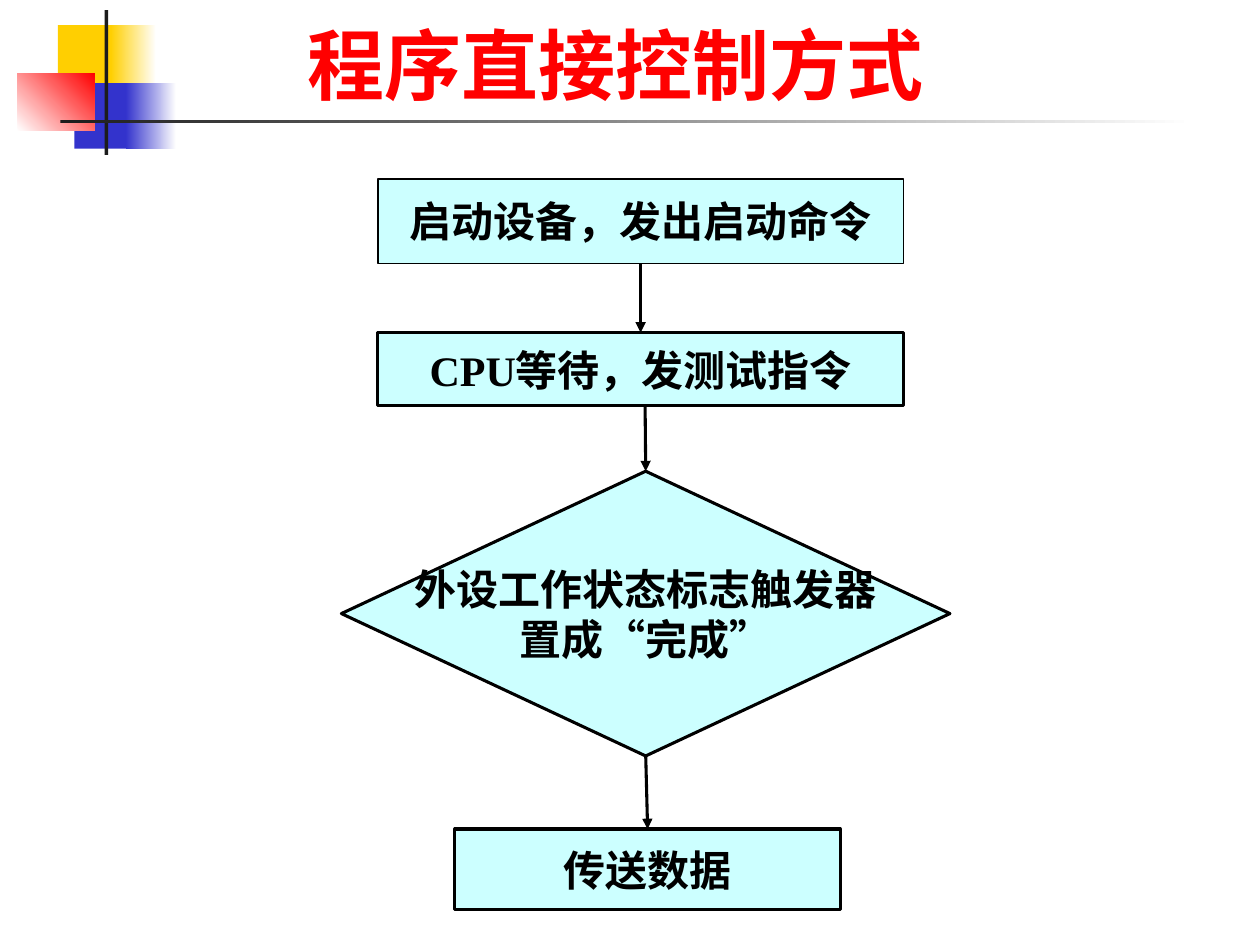
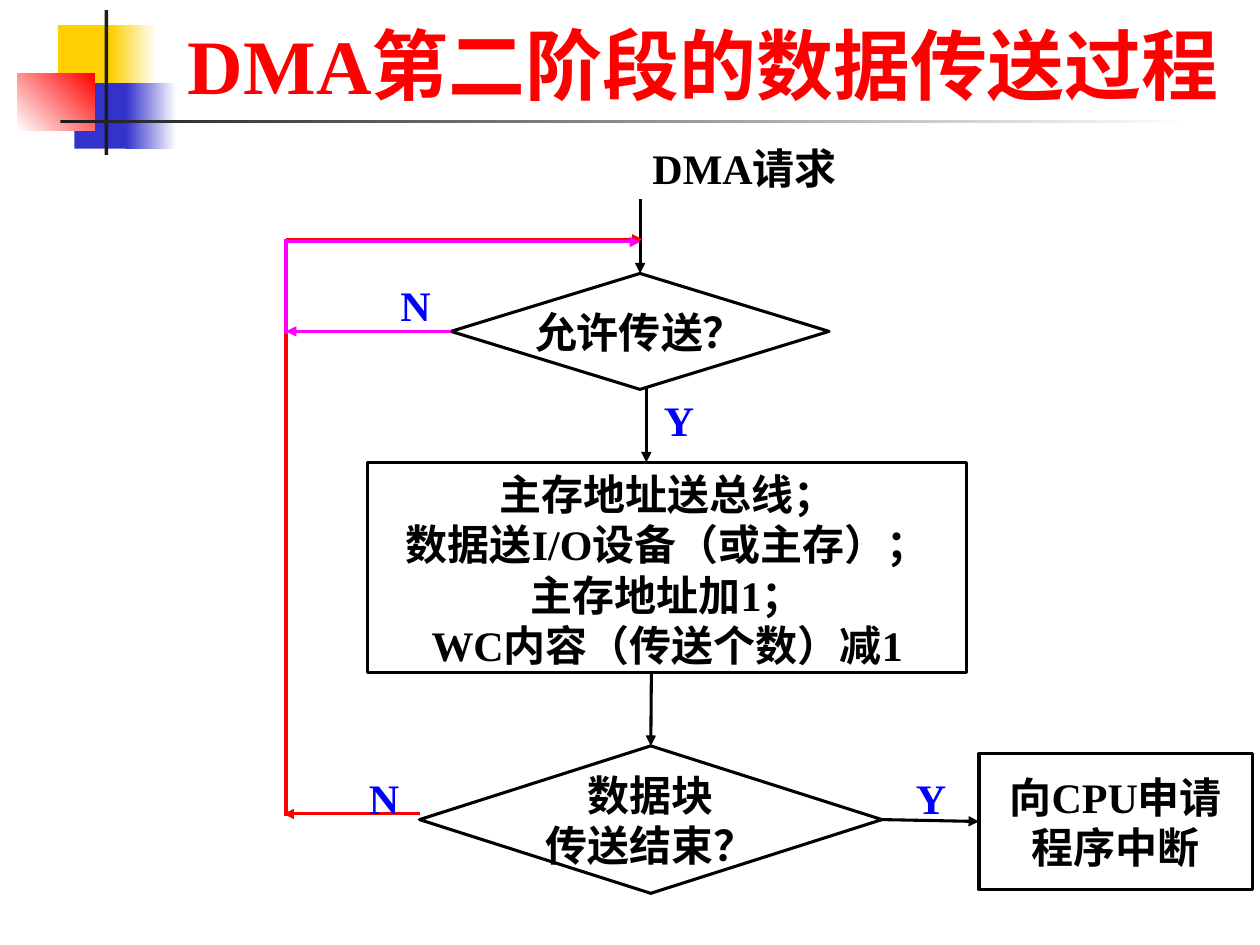
from dataclasses import dataclass

from lxml import etree
from pptx import Presentation
from pptx.dml.color import RGBColor
from pptx.enum.shapes import MSO_CONNECTOR, MSO_SHAPE
from pptx.enum.text import MSO_ANCHOR, MSO_AUTO_SIZE, PP_ALIGN
from pptx.oxml.ns import qn
from pptx.util import Inches, Pt

RECT = MSO_SHAPE.RECTANGLE
DECISION = MSO_SHAPE.FLOWCHART_DECISION
STRAIGHT = MSO_CONNECTOR.STRAIGHT
ANCHOR_TOP, ANCHOR_MIDDLE, ANCHOR_BOTTOM = MSO_ANCHOR.TOP, MSO_ANCHOR.MIDDLE, MSO_ANCHOR.BOTTOM
NO_AUTOFIT = MSO_AUTO_SIZE.NONE
ALIGN_LEFT, ALIGN_CENTER, ALIGN_RIGHT = PP_ALIGN.LEFT, PP_ALIGN.CENTER, PP_ALIGN.RIGHT
TOP, LEFT, BOTTOM, RIGHT = range(4)
TITLE_ONLY = 5


@dataclass(frozen=True)
class Theme:
    white: str = "FFFFFF"
    black: str = "000000"
    red: str = "FF0000"
    blue: str = "0000FF"
    magenta: str = "FF00FF"
    cyan: str = "CCFFFF"
    gold: str = "FFCF01"
    indigo: str = "3333CC"
    charcoal: str = "1C1C1C"
    font: str = "Times New Roman"
    title_font: str = "Karla"
    title_size: int = 44
    body_size: int = 24
    thin: float = 0.75
    line: float = 1.75


def rgb(color):
    return RGBColor.from_string(color)


class Deck:
    def __init__(self, theme):
        self.theme = theme
        self.prs = Presentation()
        self.prs.slide_width, self.prs.slide_height = Inches(10), Inches(7.5)
        self.s = None

    def slide(self, title, font, align):
        self.s = self.prs.slides.add_slide(self.prs.slide_layouts[TITLE_ONLY])
        self.ornament()
        t, sp = self.theme, self.s.shapes.title
        sp.left, sp.top, sp.width, sp.height = map(Inches, (0, 0.09, 9.78, 0.83))
        sp.text_frame.auto_size = NO_AUTOFIT
        sp.text_frame.vertical_anchor = ANCHOR_BOTTOM
        self.fill_text(sp.text_frame, [title], align, t.red, t.title_size, font)
        sp.element.getparent().append(sp.element)

    def ornament(self):
        t = self.theme
        self.block(0.46, 0.2, 0.48, 0.52, t.gold)
        self.block(0.88, 0.2, 0.36, 0.52, t.gold, t.white)
        self.block(0.59, 0.66, 0.46, 0.52, t.indigo)
        self.block(1, 0.66, 0.4, 0.52, t.indigo, t.white)
        self.block(0.14, 0.58, 0.61, 0.46, t.white, t.red, 45)
        self.block(0.83, 0.08, 0.03, 1.15, t.charcoal)
        self.block(0.48, 0.95, 9, 0.03, t.charcoal, t.white)

    def block(self, x, y, w, h, color, fade_to=None, angle=0, kind=RECT):
        sp = self.s.shapes.add_shape(kind, *map(Inches, (x, y, w, h)))
        sp.shadow.inherit = False
        sp.line.fill.background()
        if fade_to:
            sp.fill.gradient()
            sp.fill.gradient_angle = angle
            for stop, stop_color in zip(sp.fill.gradient_stops, (color, fade_to)):
                stop.color.rgb = rgb(stop_color)
        else:
            sp.fill.solid()
            sp.fill.fore_color.rgb = rgb(color)
        return sp

    def node(self, x, y, w, h, lines, fill, kind=RECT, width=None, anchor=ANCHOR_MIDDLE):
        sp = self.block(x, y, w, h, fill, kind=kind)
        sp.line.color.rgb = rgb(self.theme.black)
        sp.line.width = Pt(width or self.theme.line)
        sp.text_frame.word_wrap = False
        sp.text_frame.vertical_anchor = anchor
        self.fill_text(sp.text_frame, lines, ALIGN_CENTER, self.theme.black)
        return sp

    def label(self, x, y, w, text, color):
        sp = self.s.shapes.add_textbox(*map(Inches, (x, y, w, 0.5)))
        sp.text_frame.word_wrap = True
        self.fill_text(sp.text_frame, [text], ALIGN_LEFT, color)

    def fill_text(self, tf, lines, align, color, size=None, font=None):
        for i, line in enumerate(lines):
            p = tf.add_paragraph() if i else tf.paragraphs[0]
            p.alignment = align
            r = p.add_run()
            r.text = line
            r.font.name = font or self.theme.font
            r.font.size = Pt(size or self.theme.body_size)
            r.font.bold = True
            r.font.color.rgb = rgb(color)

    def connect(self, start, end, color=None, arrow=True):
        points = [(0, 0) if hasattr(e[0], "shape_id") else e for e in (start, end)]
        cx = self.s.shapes.add_connector(STRAIGHT, *(Inches(v) for pt in points for v in pt))
        for target, join in ((start, cx.begin_connect), (end, cx.end_connect)):
            if hasattr(target[0], "shape_id"):
                join(*target)
        cx.line.color.rgb = rgb(color or self.theme.black)
        cx.line.width = Pt(self.theme.line)
        props = cx.element.spPr
        if arrow:
            etree.SubElement(props.get_or_add_ln(), qn("a:tailEnd"), type="triangle")
        etree.SubElement(props, qn("a:effectLst"))


def program_control(deck):
    t = deck.theme
    deck.slide("程序直接控制方式", t.title_font, ALIGN_CENTER)
    launch = deck.node(3, 1.42, 4.17, 0.67, ["启动设备，发出启动命令"], t.cyan, width=t.thin)
    wait = deck.node(3, 2.64, 4.17, 0.58, ["CPU等待，发测试指令"], t.cyan)
    done = deck.node(2.71, 3.74, 4.83, 2.26, ["外设工作状态标志触发器", "置成“完成”"], t.cyan, DECISION)
    transfer = deck.node(3.61, 6.58, 3.06, 0.64, ["传送数据"], t.cyan)
    deck.connect((launch, BOTTOM), (wait, TOP))
    deck.connect((5.12, 3.21), (done, TOP))
    deck.connect((done, BOTTOM), (transfer, TOP))


def dma_transfer(deck):
    t = deck.theme
    deck.slide("DMA第二阶段的数据传送过程", t.font, ALIGN_RIGHT)
    allowed = deck.node(3.58, 2.17, 3, 0.92, ["允许传送？"], t.white, DECISION)
    steps = ["主存地址送总线；", "数据送I/O设备（或主存）；", "主存地址加1；", "WC内容（传送个数）减1"]
    deck.node(2.92, 3.67, 4.75, 1.67, steps, t.white, anchor=ANCHOR_TOP)
    finished = deck.node(3.33, 5.92, 3.67, 1.17, ["数据块", "传送结束？"], t.white, DECISION)
    interrupt = deck.node(7.77, 5.98, 2.17, 1.08, ["向CPU申请", "程序中断"], t.white)

    deck.connect((5.08, 1.58), (allowed, TOP))
    deck.connect((5.13, 3.08), (5.13, 3.67))
    deck.connect((5.17, 5.33), (finished, TOP))
    deck.connect((finished, RIGHT), (interrupt, LEFT))

    deck.connect((3.33, 6.46), (2.25, 6.46), t.red)
    deck.connect((2.27, 6.48), (2.27, 1.9), t.red, arrow=False)
    deck.connect((2.27, 1.9), (5.1, 1.9), t.red)
    deck.connect((allowed, LEFT), (2.27, 2.63), t.magenta)
    deck.connect((2.27, 2.65), (2.27, 1.9), t.magenta, arrow=False)
    deck.connect((2.25, 1.92), (5.08, 1.92), t.magenta)

    deck.label(5.08, 1.08, 1.83, "DMA请求", t.black)
    for x, y, answer in ((3.08, 2.17, "N"), (5.17, 3.08, "Y"), (2.83, 6.08, "N"), (7.17, 6.08, "Y")):
        deck.label(x, y, 0.6, answer, t.blue)


def main():
    deck = Deck(Theme())
    program_control(deck)
    dma_transfer(deck)
    deck.prs.save("out.pptx")


if __name__ == "__main__":
    main()
